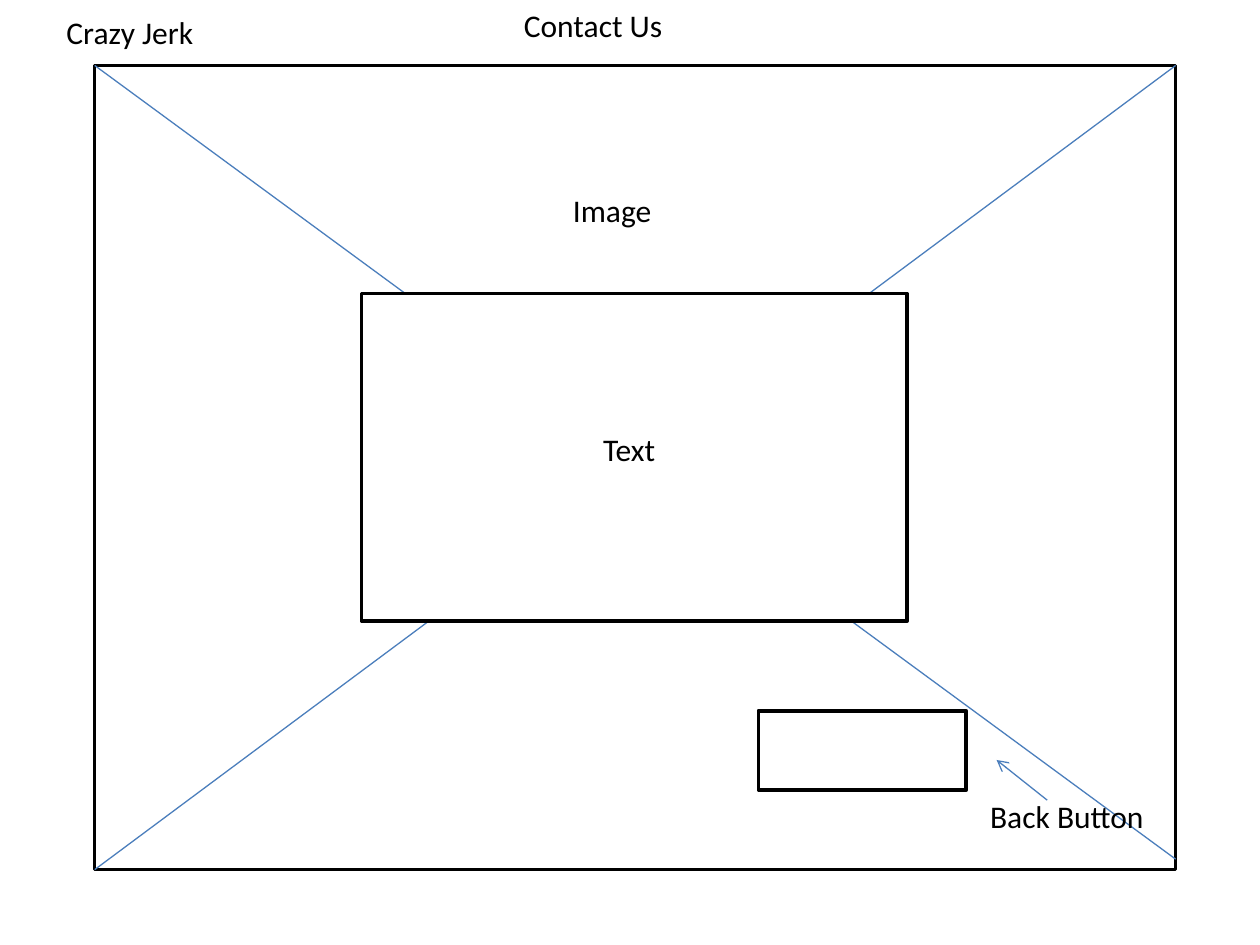
from lxml.etree import SubElement
from pptx import Presentation
from pptx.dml.color import RGBColor
from pptx.enum.shapes import MSO_CONNECTOR as Connector, MSO_SHAPE as Shape
from pptx.enum.text import MSO_ANCHOR as Anchor, MSO_AUTO_SIZE as AutoSize, PP_ALIGN as Align
from pptx.oxml.ns import qn
from pptx.util import Cm, Pt

BLACK = RGBColor(0x00, 0x00, 0x00)
WHITE = RGBColor(0xFF, 0xFF, 0xFF)
BLUE = RGBColor(0x4B, 0x7E, 0xBC)


def apply(target, values):
    for name, value in values.items():
        setattr(target, name, value)


class Wireframe:
    font = {"name": "Calibri", "size": Pt(18), "bold": False}
    frame = {"word_wrap": True, "vertical_anchor": Anchor.TOP,
             "margin_left": Cm(0.25), "margin_right": Cm(0.25),
             "margin_top": Cm(0.13), "margin_bottom": Cm(0.13)}

    def __init__(self, slide):
        self.slide = slide

    def set_text(self, holder, text, auto_size):
        apply(holder.text_frame, {**self.frame, "auto_size": auto_size, "text": text})
        paragraph = holder.text_frame.paragraphs[0]
        paragraph.alignment = Align.LEFT
        apply(paragraph.runs[0].font, self.font)
        paragraph.runs[0].font.color.rgb = BLACK

    def title(self, text, left, top, width, height):
        title = self.slide.shapes.title
        apply(title, {"left": Cm(left), "top": Cm(top),
                      "width": Cm(width), "height": Cm(height)})
        self.set_text(title, text, AutoSize.NONE)

    def label(self, text, left, top, width, height=1.02):
        box = self.slide.shapes.add_textbox(Cm(left), Cm(top), Cm(width), Cm(height))
        self.set_text(box, text, AutoSize.SHAPE_TO_FIT_TEXT)

    def panel(self, left, top, width, height):
        panel = self.slide.shapes.add_shape(
            Shape.RECTANGLE, Cm(left), Cm(top), Cm(width), Cm(height))
        panel.shadow.inherit = False
        panel.fill.solid()
        panel.fill.fore_color.rgb = WHITE
        panel.line.color.rgb = BLACK
        panel.line.width = Pt(2)

    def line(self, start, end, arrow=False):
        line = self.slide.shapes.add_connector(
            Connector.STRAIGHT, *(Cm(value) for value in (*start, *end)))
        line.line.color.rgb = BLUE
        line.line.width = Pt(0.75)
        properties = line._element.spPr
        if arrow:
            SubElement(properties.find(qn("a:ln")), qn("a:tailEnd"), type="arrow")
        SubElement(properties, qn("a:effectLst"))


deck = Presentation()
apply(deck, {"slide_width": Cm(25.4), "slide_height": Cm(19.05)})
page = Wireframe(deck.slides.add_slide(deck.slide_layouts[5]))

left, top, width, height = 1.91, 1.32, 21.79, 16.21
right, bottom = left + width, top + height

page.title("Contact Us", 10.31, 0, 5.79, 1.02)
page.panel(left, top, width, height)
page.line((left, top), (right, 17.32))
page.line((right, top), (left, bottom))
page.panel(7.29, 5.92, 11, 6.6)
page.label("Text", 11.91, 8.53, 5.59)
page.label("Image", 11.3, 3.73, 5.59)
page.label("Crazy Jerk", 1.09, 0.13, 4.39, 1.8)
page.panel(15.29, 14.33, 4.19, 1.6)
page.line((21.11, 16.13), (20.09, 15.32), arrow=True)
page.label("Back Button", 19.71, 15.93, 3.99)

deck.save("out.pptx")
